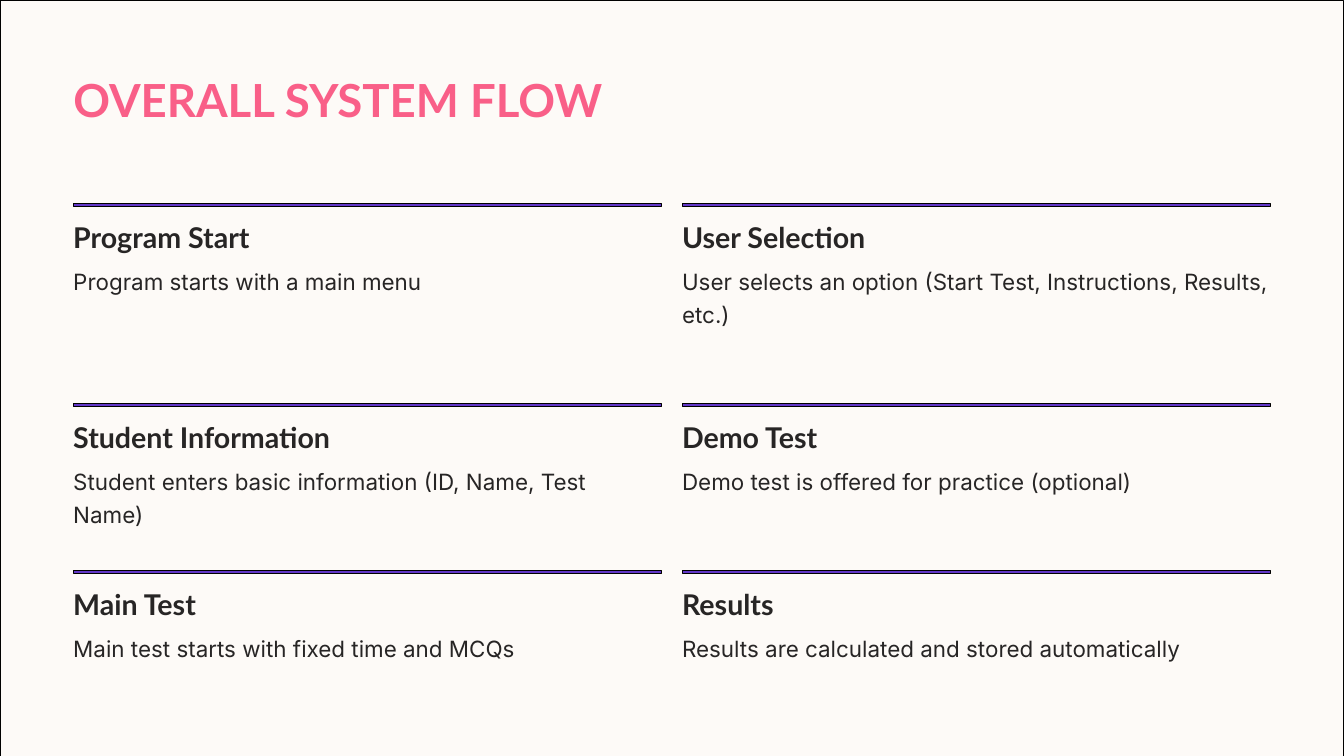
from pptx import Presentation
from pptx.dml.color import RGBColor
from pptx.enum.shapes import MSO_SHAPE
from pptx.enum.text import MSO_ANCHOR, MSO_AUTO_SIZE, PP_ALIGN
from pptx.util import Inches, Pt

# Content: one row of steps per line of the grid
TITLE = "OVERALL SYSTEM FLOW"
STEP_ROWS = [
    [("Program Start", "Program starts with a main menu"),
     ("User Selection", "User selects an option (Start Test, Instructions, Results, etc.)")],
    [("Student Information", "Student enters basic information (ID, Name, Test Name)"),
     ("Demo Test", "Demo test is offered for practice (optional)")],
    [("Main Test", "Main test starts with fixed time and MCQs"),
     ("Results", "Results are calculated and stored automatically")],
]

# Style: font, size, line spacing, colour, bold
TITLE_STYLE = ("Lato", 48.8, 61.2, "F95F88", True)
HEADING_STYLE = ("Lato", 30.6, 38.1, "272525", True)
DETAIL_STYLE = ("Inter", 24, 35.6, "272525", False)
PANEL_COLOR, RULE_COLOR, OUTLINE_COLOR = "FDFAF7", "6237C8", "000000"

# Grid, in inches
SLIDE_WIDTH, SLIDE_HEIGHT = 20, 11.25
MARGIN, COLUMN_WIDTH, COLUMN_STEP = 1.09, 8.76, 9.06
ROW_TOPS = [3.03, 6.01, 8.49]
RULE_HEIGHT, HEADING_OFFSET, DETAIL_OFFSET = 0.04, 0.22, 0.86
LINE_HEIGHT = 0.47


def color(hex_string):
    return RGBColor.from_string(hex_string)


def add_rectangle(slide, left, top, width, height, fill):
    shape = slide.shapes.add_shape(
        MSO_SHAPE.RECTANGLE, Inches(left), Inches(top), Inches(width), Inches(height))
    shape.shadow.inherit = False
    shape.fill.solid()
    shape.fill.fore_color.rgb = color(fill)
    shape.line.color.rgb = color(OUTLINE_COLOR)
    shape.line.width = Pt(1)
    return shape


def write_text(shape, text, style):
    font_name, size, line_spacing, hex_color, bold = style
    frame = shape.text_frame
    frame.margin_left = frame.margin_right = frame.margin_top = frame.margin_bottom = 0
    frame.word_wrap = True
    frame.auto_size = MSO_AUTO_SIZE.SHAPE_TO_FIT_TEXT
    frame.vertical_anchor = MSO_ANCHOR.TOP
    frame.text = text
    paragraph = frame.paragraphs[0]
    paragraph.alignment = PP_ALIGN.LEFT
    paragraph.line_spacing = Pt(line_spacing)
    paragraph.space_before = Pt(0)
    font = paragraph.font
    font.name, font.size, font.bold = font_name, Pt(size), bold
    font.color.rgb = color(hex_color)


def add_text(slide, left, top, width, height, text, style):
    box = slide.shapes.add_textbox(Inches(left), Inches(top), Inches(width), Inches(height))
    write_text(box, text, style)


def add_step(slide, left, top, heading, detail):
    add_rectangle(slide, left, top, COLUMN_WIDTH, RULE_HEIGHT, RULE_COLOR)
    add_text(slide, left, top + HEADING_OFFSET, 4.26, 0.55, heading, HEADING_STYLE)
    add_text(slide, left, top + DETAIL_OFFSET, COLUMN_WIDTH, LINE_HEIGHT, detail, DETAIL_STYLE)


def main():
    presentation = Presentation()
    presentation.slide_width = Inches(SLIDE_WIDTH)
    presentation.slide_height = Inches(SLIDE_HEIGHT)
    slide = presentation.slides.add_slide(presentation.slide_layouts[5])

    # Background panel, placed behind the title
    panel = add_rectangle(slide, 0, 0, SLIDE_WIDTH, SLIDE_HEIGHT, PANEL_COLOR)
    title = slide.shapes.title
    title.element.addprevious(panel.element)

    # Title
    title.left, title.top = Inches(MARGIN), Inches(1.03)
    title.width, title.height = Inches(14.25), Inches(0.84)
    write_text(title, TITLE, TITLE_STYLE)

    # Steps
    for top, steps in zip(ROW_TOPS, STEP_ROWS):
        for column, (heading, detail) in enumerate(steps):
            add_step(slide, MARGIN + column * COLUMN_STEP, top, heading, detail)

    presentation.save("out.pptx")


if __name__ == "__main__":
    main()
